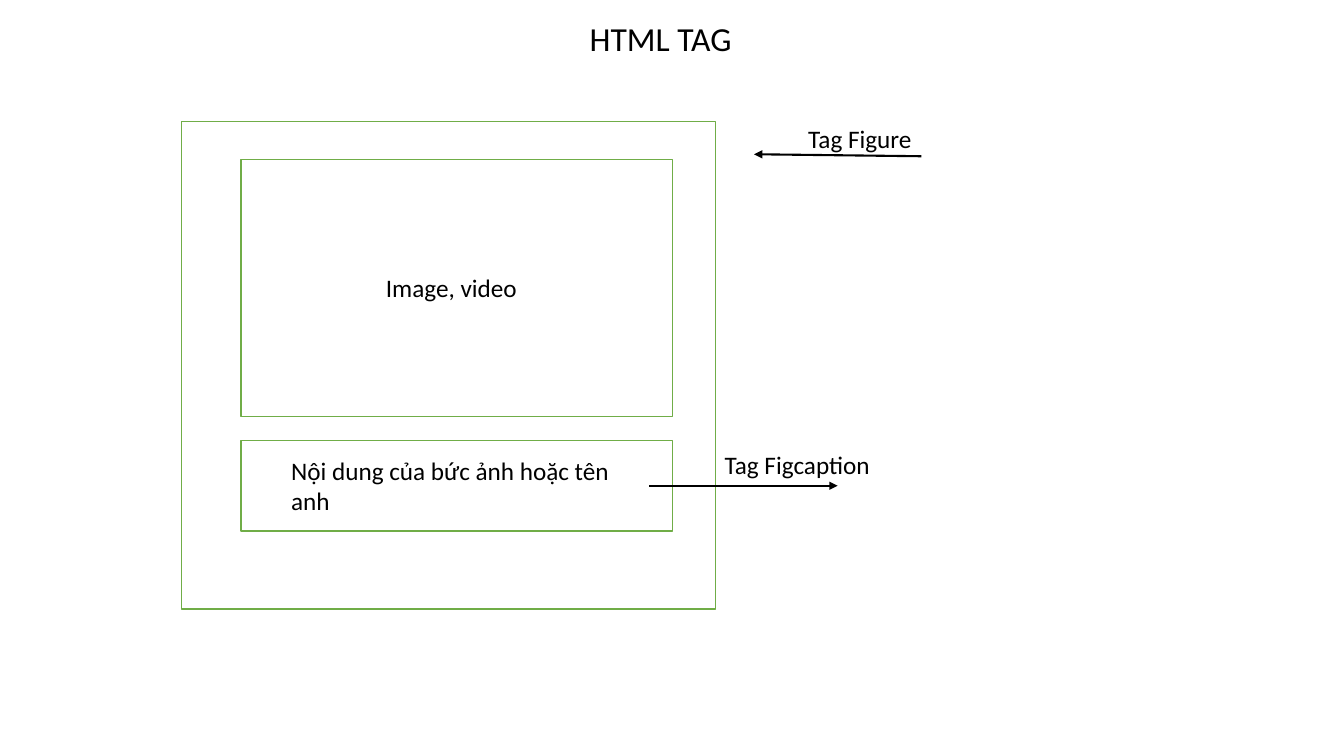
from pptx import Presentation
from pptx.dml.color import RGBColor
from pptx.enum.shapes import MSO_CONNECTOR, MSO_SHAPE
from pptx.enum.text import MSO_ANCHOR, MSO_AUTO_SIZE, PP_ALIGN
from pptx.oxml.ns import qn
from pptx.util import Pt
from lxml.etree import SubElement

GREEN, BLACK, WHITE = "70AD47", "000000", "FFFFFF"


def color(value):
    return RGBColor.from_string(value)


def write(box, text, size=18, font="Calibri", ink=BLACK):
    frame = box.text_frame
    frame.word_wrap = True
    frame.auto_size = MSO_AUTO_SIZE.SHAPE_TO_FIT_TEXT
    frame.vertical_anchor = MSO_ANCHOR.TOP
    para = frame.paragraphs[0]
    para.alignment = PP_ALIGN.LEFT
    span = para.add_run()
    span.text = text
    span.font.size = Pt(size)
    span.font.name = font
    span.font.color.rgb = color(ink)


deck = Presentation()
deck.slide_width, deck.slide_height = Pt(960), Pt(540)
page = deck.slides.add_slide(deck.slide_layouts[5])

# Title
title = page.shapes.title
title.left, title.top, title.width, title.height = Pt(414), Pt(9.4), Pt(125.3), Pt(36)
write(title, "HTML TAG", size=24)

# Nested frames: figure, media, caption
frames = [
    (129.6, 86.9, 381.6, 348),
    (172.1, 113.8, 308.2, 183.6),
    (172.1, 314.6, 308.2, 64.8),
]
for area in frames:
    box = page.shapes.add_shape(MSO_SHAPE.RECTANGLE, *map(Pt, area))
    box.shadow.inherit = False
    box.fill.solid()
    box.fill.fore_color.rgb = color(WHITE)
    box.line.color.rgb = color(GREEN)
    box.line.width = Pt(1)

# Labels
labels = [
    ("Tag Figure", 570.2, 84.2, 147.6, 29),
    ("Image, video", 268.6, 190.8, 254.2, 29),
    ("Nội dung của bức ảnh hoặc tên anh", 200.9, 321.8, 250.6, 51),
    ("Tag Figcaption", 510.5, 317.5, 127.4, 29),
]
for text, *area in labels:
    write(page.shapes.add_textbox(*map(Pt, area)), text)

# Arrows for the two tags
arrows = [(658.1, 111.6, 538.6, 110.2), (463.7, 347, 598.3, 347)]
for ends in arrows:
    arrow = page.shapes.add_connector(MSO_CONNECTOR.STRAIGHT, *map(Pt, ends))
    arrow.line.color.rgb = color(BLACK)
    arrow.line.width = Pt(1.5)
    SubElement(arrow.line._get_or_add_ln(), qn("a:tailEnd"), type="triangle")
    SubElement(arrow._element.spPr, qn("a:effectLst"))

deck.save("out.pptx")
